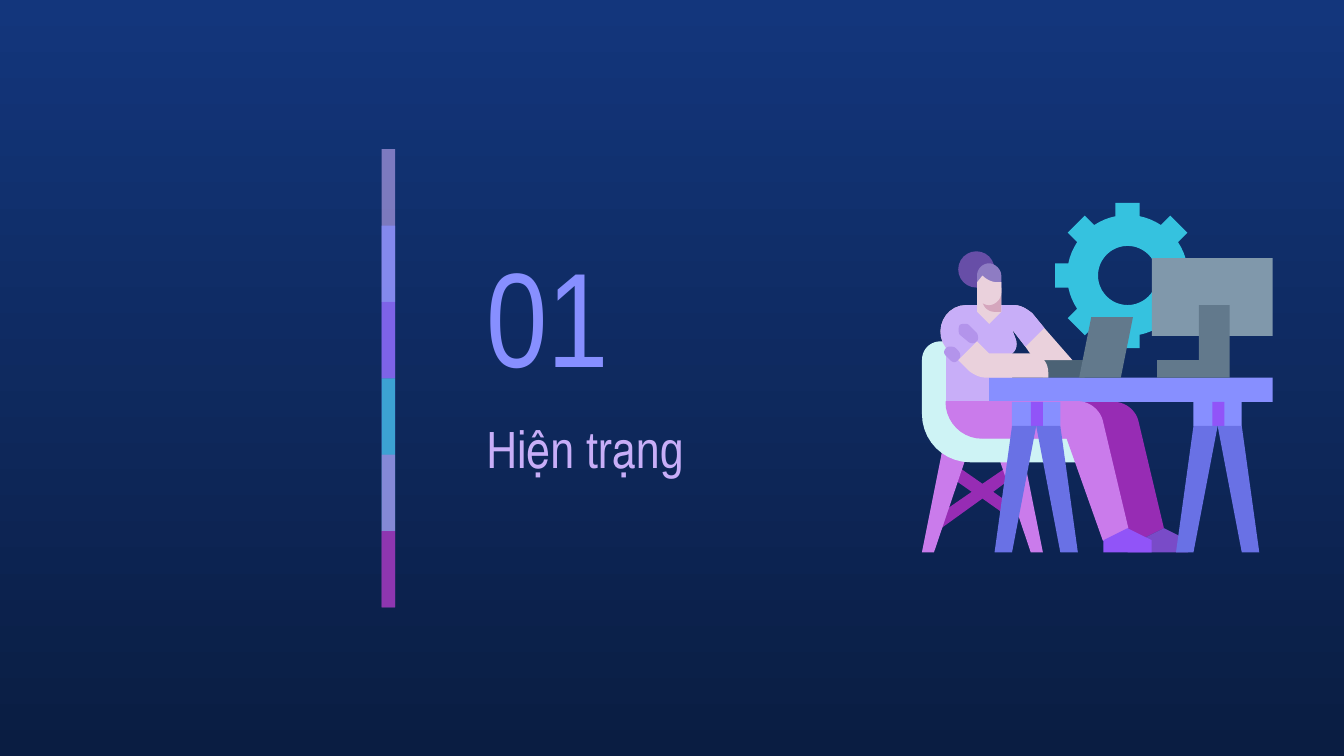
from math import asin, cos, pi, sin

from lxml.etree import SubElement
from pptx import Presentation
from pptx.dml.color import RGBColor
from pptx.enum.shapes import MSO_SHAPE as SHAPE
from pptx.enum.text import MSO_ANCHOR as ANCHOR
from pptx.oxml.ns import qn
from pptx.util import Inches, Pt

FONT = "Arial Narrow"
COLORS = {
    "sky": "13367C", "night": "0A1D42", "periwinkle": "878FFF", "lilac": "C8AEF8",
    "cyan": "35C2DF", "slate": "4B6275", "steel": "62798C", "screen": "8098AB",
    "plum": "972CB4", "orchid": "CA7BEB", "violet": "9154F8", "ice": "CEF3F5",
    "back shoe": "794BC8", "skin": "EAD1DC", "neck": "D5A6BD", "stripe": "B394EB",
    "trestle": "6971E5", "bun": "674EA7", "hair": "8E7CC3",
}
BARS = [("lilac", 59), ("periwinkle", 74), ("violet", 53),
        ("cyan", 76), ("orchid", 56), ("plum", 74)]

SHOULDER = [(7.19, 2.27), (7.03, 2.27, 6.94, 2.46, 7.04, 2.59), (7.04, 2.99), (7.53, 2.99),
            (7.53, 2.63), (7.56, 2.61, 7.57, 2.57, 7.56, 2.53), (7.53, 2.45), (7.63, 2.58)]
SLEEVE = [(7.77, 2.44), (7.68, 2.33), (7.64, 2.3, 7.6, 2.27, 7.54, 2.27)]
SEAT = [(7, 2.54), (6.92, 2.54, 6.86, 2.6, 6.86, 2.68), (6.86, 3.08),
        (6.86, 3.28, 7.02, 3.44, 7.22, 3.44), (8.07, 3.44), (8.07, 3.22), (7.31, 3.22),
        (7.19, 3.22, 7.09, 3.12, 7.09, 2.99), (7.09, 2.54)]
BRACES = [(7.11, 3.46), (7.06, 3.54), (7.23, 3.66), (6.94, 3.86), (6.99, 3.94), (7.31, 3.71),
          (7.48, 3.83), (7.53, 3.76), (7.39, 3.66), (7.55, 3.54), (7.5, 3.47), (7.31, 3.6)]
CUFF_STRIPE = [(7.07, 2.58), (7.06, 2.58, 7.05, 2.58, 7.04, 2.59),
               (7.02, 2.61, 7.02, 2.63, 7.04, 2.65), (7.07, 2.68),
               (7.09, 2.7, 7.11, 2.7, 7.13, 2.68), (7.15, 2.66, 7.15, 2.63, 7.13, 2.61),
               (7.11, 2.59), (7.1, 2.58, 7.08, 2.58, 7.07, 2.58)]
ARM_STRIPE = [(7.18, 2.41), (7.17, 2.41, 7.15, 2.41, 7.14, 2.42),
              (7.13, 2.44, 7.13, 2.47, 7.14, 2.49), (7.2, 2.54),
              (7.22, 2.56, 7.25, 2.56, 7.27, 2.54), (7.28, 2.53, 7.28, 2.5, 7.27, 2.48),
              (7.21, 2.42), (7.2, 2.41, 7.19, 2.41, 7.18, 2.41)]
COLLAR = [(7.27, 2.14), (7.27, 2.32), (7.36, 2.41), (7.45, 2.32), (7.45, 2.14)]
FOREARM = [(7.27, 2.54), (7.13, 2.68), (7.21, 2.76), (7.25, 2.79, 7.29, 2.81, 7.34, 2.81),
           (7.8, 2.81), (7.8, 2.77), (7.8, 2.69, 7.74, 2.63, 7.67, 2.63), (7.36, 2.63)]
LAPTOP_LID = [(8.12, 2.36), (8.03, 2.81), (8.34, 2.81), (8.43, 2.36)]
STAND = [(8.92, 2.27), (8.92, 2.68), (8.61, 2.68), (8.61, 2.81), (9.15, 2.81), (9.15, 2.27)]
NECK = [(7.31, 2.14), (7.31, 2.23), (7.31, 2.28, 7.35, 2.32, 7.4, 2.32),
        (7.45, 2.32), (7.45, 2.14)]
HAIR = [(7.36, 1.96), (7.31, 1.96, 7.27, 2, 7.27, 2.05), (7.27, 2.14), (7.45, 2.14),
        (7.45, 2.05), (7.45, 2, 7.4, 1.96, 7.36, 1.96)]
FACE = [(7.31, 2.05), (7.27, 2.1), (7.27, 2.18), (7.27, 2.23, 7.31, 2.27, 7.36, 2.27),
        (7.4, 2.27, 7.45, 2.23, 7.45, 2.18), (7.45, 2.1), (7.42, 2.1),
        (7.38, 2.1, 7.34, 2.08, 7.31, 2.05)]


def rgb(color):
    return RGBColor.from_string(COLORS[color])


def paint(shape, color, opacity=100):
    shape.shadow.inherit = False
    shape.fill.solid()
    shape.fill.fore_color.rgb = rgb(color)
    shape.line.fill.background()
    if opacity < 100:
        tint = shape._element.spPr.find(".//" + qn("a:srgbClr"))
        SubElement(tint, qn("a:alpha"), val=str(opacity * 1000))
    return shape


def add_block(group, color, left, top, width, height, opacity=100, kind=SHAPE.RECTANGLE):
    block = group.shapes.add_shape(kind, Inches(left), Inches(top), Inches(width), Inches(height))
    return paint(block, color, opacity)


def flatten(steps, pieces=10):
    points = [steps[0]]
    for step in steps[1:]:
        if len(step) == 2:
            points.append(step)
            continue
        corners = [points[-1], step[:2], step[2:4], step[4:]]
        for i in range(1, pieces + 1):
            t = i / pieces
            weights = ((1 - t) ** 3, 3 * t * (1 - t) ** 2, 3 * t * t * (1 - t), t ** 3)
            points.append(tuple(sum(w * c[axis] for w, c in zip(weights, corners))
                                for axis in (0, 1)))
    return points


def add_outline(group, color, *contours):
    builder = None
    for steps in contours:
        first, *rest = [(Inches(x), Inches(y)) for x, y in flatten(steps)]
        if builder is None:
            builder = group.shapes.build_freeform(*first, scale=1.0)
        else:
            builder.move_to(*first)
        builder.add_line_segments(rest, close=True)
    return paint(builder.convert_to_shape(), color)


def add_gear(group, x, y):
    radius, reach, half_tooth, hole, teeth = 0.45, 0.54, 0.09, 0.22, 8
    pitch, base = 2 * pi / teeth, asin(half_tooth / radius)
    rim = []
    for tooth in range(teeth):
        turn = tooth * pitch
        for side in (-half_tooth, half_tooth):
            rim.append((x + reach * cos(turn) - side * sin(turn),
                        y + reach * sin(turn) + side * cos(turn)))
        for i in range(5):
            angle = turn + base + (pitch - 2 * base) * i / 4
            rim.append((x + radius * cos(angle), y + radius * sin(angle)))
    bore = [(x + hole * cos(-i * pi / 24), y + hole * sin(-i * pi / 24)) for i in range(48)]
    add_outline(group, "cyan", rim, bore)


def add_leg(group, hip, heel, trousers, shoe):
    ankle, instep, toe = hip + 1.17, hip + 1.35, hip + 1.53
    leg = add_outline(group, trousers, [
        (hip, 2.99), (hip, 3.14, hip + 0.12, 3.26, hip + 0.27, 3.26), (hip + 0.9, 3.26),
        (heel, 4.02), (ankle, 4.02), (instep, 3.93), (hip + 1.16, 3.13),
        (hip + 1.14, 3.05, hip + 1.06, 2.99, hip + 0.98, 2.99)])
    add_outline(group, shoe, [(instep, 3.93), (ankle, 4.02), (heel, 4.02),
                              (heel, 4.11), (toe, 4.11), (toe, 4.02)])
    return leg


def add_splayed_legs(group, color, center, top, inner, outer, foot_inner, foot_outer):
    for side in (-1, 1):
        add_outline(group, color, [(center + side * inner, top), (center + side * foot_inner, 4.11),
                                   (center + side * foot_outer, 4.11), (center + side * outer, top)])


def add_trestle(group, center):
    add_block(group, "periwinkle", center - 0.18, 2.99, 0.36, 0.18)
    add_block(group, "violet", center - 0.04, 2.99, 0.09, 0.18)
    add_splayed_legs(group, "trestle", center, 3.17, 0, 0.18, 0.18, 0.31)


def add_worker_at_desk(slide):
    scene = slide.shapes.add_group_shape()
    add_gear(scene, 8.39, 2.05)
    add_block(scene, "slate", 7.76, 2.68, 0.31, 0.13)
    add_outline(scene, "plum", BRACES)
    add_splayed_legs(scene, "orchid", 7.31, 3.31, 0.09, 0.29, 0.36, 0.45)
    add_outline(scene, "ice", SEAT)
    add_leg(scene, 7.31, 8.39, "plum", "back shoe")
    add_outline(scene, "skin", SHOULDER + [(7.7, 2.68), (7.98, 2.68)] + SLEEVE)
    add_outline(scene, "lilac", SHOULDER + SLEEVE)
    add_block(scene, "periwinkle", 7.36, 2.81, 2.11, 0.18)
    for color, steps in [("stripe", CUFF_STRIPE), ("stripe", ARM_STRIPE), ("skin", COLLAR),
                         ("skin", FOREARM), ("steel", LAPTOP_LID)]:
        add_outline(scene, color, steps)
    front_leg = add_leg(scene, 7.04, 8.21, "orchid", "violet")
    front_leg.line.color.rgb = rgb("orchid")
    front_leg.line.width = Pt(0.75)
    add_block(scene, "screen", 8.57, 1.92, 0.9, 0.58)
    add_outline(scene, "steel", STAND)
    for center in (9.06, 7.71):
        add_trestle(scene, center)
    add_outline(scene, "neck", NECK)
    add_block(scene, "bun", 7.13, 1.87, 0.27, 0.27, kind=SHAPE.OVAL)
    add_outline(scene, "hair", HAIR)
    add_outline(scene, "skin", FACE)


def add_color_strip(slide):
    strip = slide.shapes.add_group_shape()
    top, bottom = 1.11, 4.52
    step = (bottom - top) / len(BARS)
    for i, (color, opacity) in enumerate(BARS):
        start = top + i * step
        add_block(strip, color, 2.84, start, 0.1, min(2 * step, bottom - start), opacity)


def add_heading(slide, text, top, width, height, size, color, anchor):
    frame = slide.shapes.add_textbox(Inches(3.52), Inches(top), Inches(width),
                                     Inches(height)).text_frame
    frame.word_wrap = True
    frame.vertical_anchor = anchor
    frame.margin_left = frame.margin_right = Inches(0.1)
    frame.margin_top = frame.margin_bottom = Inches(0.1)
    frame.text = text
    font = frame.paragraphs[0].runs[0].font
    font.name, font.size = FONT, Pt(size)
    font.color.rgb = rgb(color)


def set_background(slide):
    fill = slide.background.fill
    fill.gradient()
    fill.gradient_angle = 270
    for stop, color in zip(fill.gradient_stops, ("sky", "night")):
        stop.color.rgb = rgb(color)


def main():
    deck = Presentation()
    deck.slide_width, deck.slide_height = Inches(10), Inches(10 * 9 / 16)
    slide = deck.slides.add_slide(deck.slide_layouts[6])
    set_background(slide)
    add_heading(slide, "01", 1.66, 1.75, 1.35, 72, "periwinkle", ANCHOR.MIDDLE)
    add_heading(slide, "Hiện trạng", 3, 2.87, 0.96, 28, "lilac", ANCHOR.TOP)
    add_worker_at_desk(slide)
    add_color_strip(slide)
    deck.save("out.pptx")


if __name__ == "__main__":
    main()
